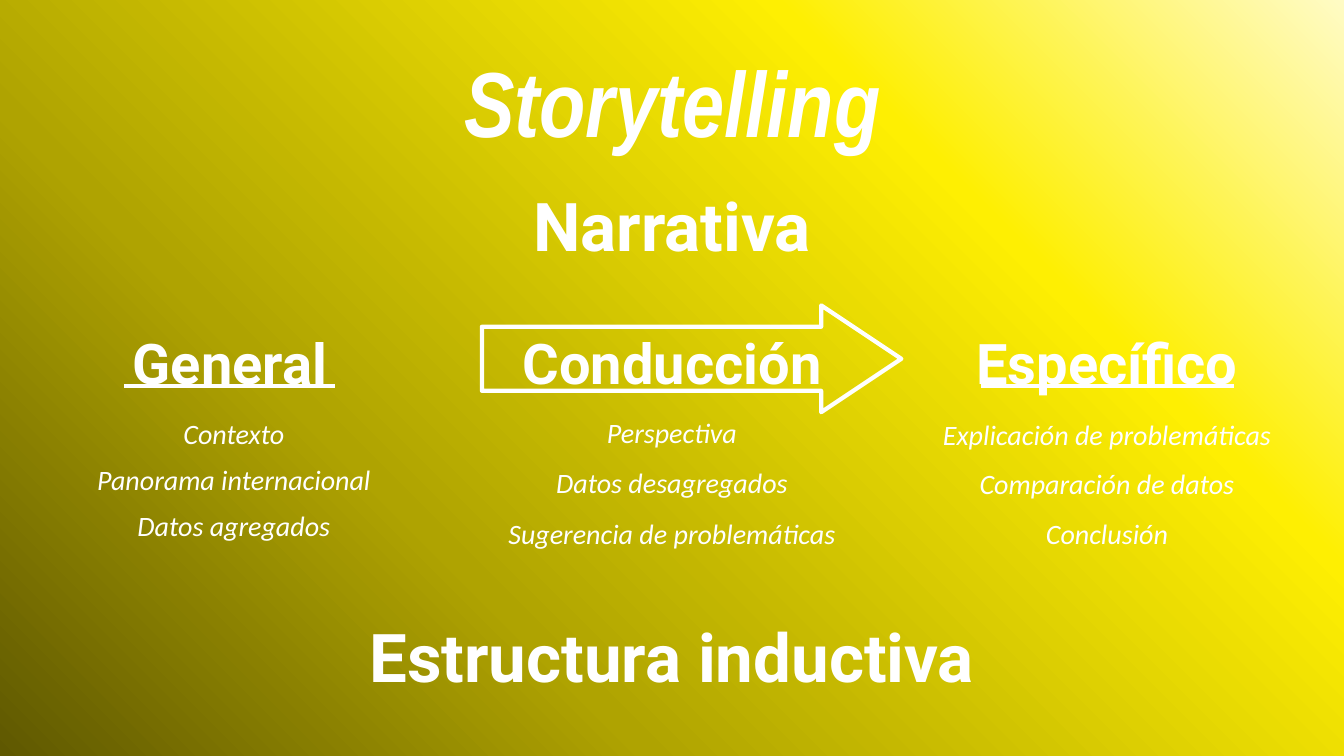
from copy import deepcopy

from lxml.etree import SubElement
from pptx import Presentation
from pptx.dml.color import RGBColor
from pptx.enum.shapes import MSO_CONNECTOR, MSO_SHAPE
from pptx.enum.text import MSO_ANCHOR, MSO_AUTO_SIZE, PP_ALIGN
from pptx.oxml.ns import qn
from pptx.util import Inches, Pt

WHITE = RGBColor(0xFF, 0xFF, 0xFF)
GRADIENT = [
    (0, RGBColor(0x5F, 0x58, 0x01)),
    (0.31, RGBColor(0xAF, 0xA3, 0x01)),
    (0.73, RGBColor(0xFE, 0xEF, 0x02)),
    (1, RGBColor(0xFF, 0xFB, 0xC5)),
]

TITLE = {"name": "Arial Narrow", "size": Pt(66), "bold": True, "italic": True}
BANNER = {"name": "Roboto", "size": Pt(48), "bold": True, "italic": False}
HEADING = {"name": "Roboto", "size": Pt(40), "bold": True, "italic": False}
ITEM = {"name": "Calibri", "size": Pt(20), "bold": False, "italic": True}

SLIDE_WIDTH, SLIDE_HEIGHT = 13.33, 7.5
CENTER = SLIDE_WIDTH / 2
HEADING_TOP, HEADING_WIDTH, HEADING_HEIGHT = 3.21, 3.19, 0.77
ITEM_WIDTH, ITEM_HEIGHT = 3.53, 0.44
UNDERLINE_TOP = 3.83
LINE_WIDTH = Pt(3)

BANNERS = [("Narrativa", 1.78, 5.35), ("Estructura inductiva", 6.06, 8.03)]
COLUMNS = [
    {"heading": "General", "center": 2.28, "item_center": 2.32,
     "top": 4.08, "pitch": 0.46, "underline": 2.09,
     "items": ["Contexto", "Panorama internacional", "Datos agregados"]},
    {"heading": "Conducción", "center": CENTER, "item_center": CENTER,
     "top": 4.07, "pitch": 0.5, "underline": 0,
     "items": ["Perspectiva", "Datos desagregados", "Sugerencia de problemáticas"]},
    {"heading": "Específico", "center": 10.98, "item_center": 10.98,
     "top": 4.09, "pitch": 0.49, "underline": 2.51,
     "items": ["Explicación de problemáticas", "Comparación de datos", "Conclusión"]},
]


def fill_text(shape, text, style):
    frame = shape.text_frame
    frame.text = text
    frame.word_wrap = True
    frame.auto_size = MSO_AUTO_SIZE.SHAPE_TO_FIT_TEXT
    frame.vertical_anchor = MSO_ANCHOR.TOP
    paragraph = frame.paragraphs[0]
    paragraph.alignment = PP_ALIGN.CENTER
    font = paragraph.runs[0].font
    for attribute, value in style.items():
        setattr(font, attribute, value)
    font.color.rgb = WHITE


def add_text(slide, text, center, top, width, height, style):
    box = slide.shapes.add_textbox(
        Inches(center - width / 2), Inches(top), Inches(width), Inches(height))
    fill_text(box, text, style)


def paint_background(slide):
    fill = slide.background.fill
    fill.gradient()
    fill.gradient_angle = 45
    stop_list = fill._fill._gradFill.gsLst
    for _ in range(len(GRADIENT) - len(stop_list)):
        stop_list.append(deepcopy(stop_list[0]))
    for stop, (position, color) in zip(fill.gradient_stops, GRADIENT):
        stop.position = position
        stop.color.rgb = color


def add_title(slide):
    title = slide.shapes.title
    place = {"left": 1.7, "top": 0.4, "width": 9.94, "height": 1.21}
    for attribute, value in place.items():
        setattr(title, attribute, Inches(value))
    fill_text(title, "Storytelling", TITLE)


def add_arrow(slide):
    arrow = slide.shapes.add_shape(
        MSO_SHAPE.RIGHT_ARROW, Inches(4.78), Inches(3.03), Inches(4.16), Inches(1.06))
    arrow.adjustments[0] = 0.6
    arrow.adjustments[1] = 0.75
    arrow.shadow.inherit = False
    arrow.fill.background()
    arrow.line.color.rgb = WHITE
    arrow.line.width = LINE_WIDTH


def add_underline(slide, center, width):
    underline = slide.shapes.add_connector(
        MSO_CONNECTOR.STRAIGHT,
        Inches(center - width / 2), Inches(UNDERLINE_TOP),
        Inches(center + width / 2), Inches(UNDERLINE_TOP))
    underline.line.color.rgb = WHITE
    underline.line.width = LINE_WIDTH
    SubElement(underline._element.spPr, qn("a:effectLst"))


def add_column(slide, column):
    add_text(slide, column["heading"], column["center"], HEADING_TOP,
             HEADING_WIDTH, HEADING_HEIGHT, HEADING)
    if column["underline"]:
        add_underline(slide, column["center"], column["underline"])
    for row, item in enumerate(column["items"]):
        top = column["top"] + row * column["pitch"]
        add_text(slide, item, column["item_center"], top, ITEM_WIDTH, ITEM_HEIGHT, ITEM)


def main():
    presentation = Presentation()
    presentation.slide_width = Inches(SLIDE_WIDTH)
    presentation.slide_height = Inches(SLIDE_HEIGHT)
    slide = presentation.slides.add_slide(presentation.slide_layouts[5])
    paint_background(slide)
    add_title(slide)
    for text, top, width in BANNERS:
        add_text(slide, text, CENTER, top, width, 0.91, BANNER)
    add_arrow(slide)
    for column in COLUMNS:
        add_column(slide, column)
    presentation.save("out.pptx")


if __name__ == "__main__":
    main()
